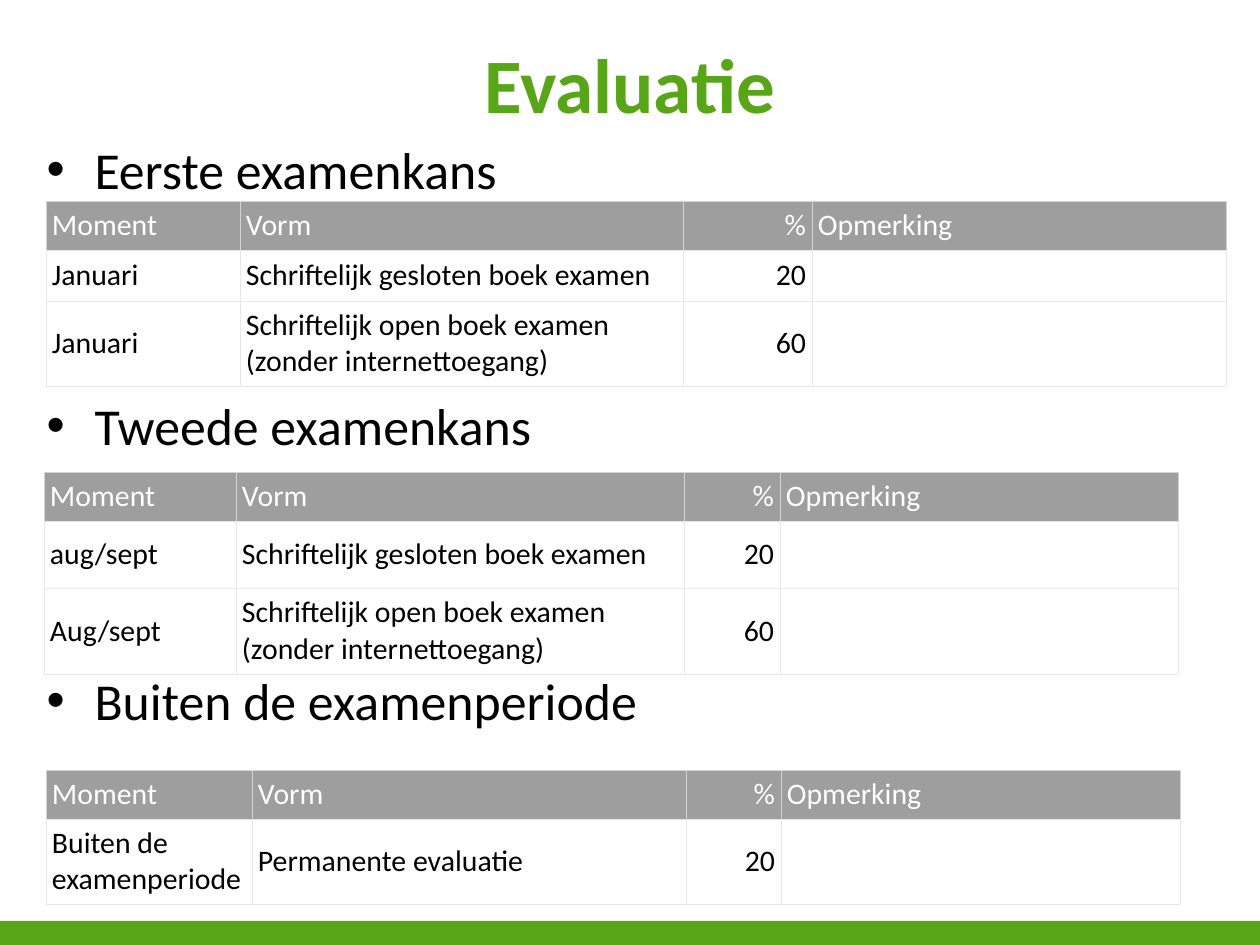
from lxml import etree
from pptx import Presentation
from pptx.dml.color import RGBColor
from pptx.enum.shapes import MSO_SHAPE
from pptx.enum.text import MSO_ANCHOR, MSO_AUTO_SIZE, PP_ALIGN
from pptx.oxml.ns import qn
from pptx.util import Pt

RECT = MSO_SHAPE.RECTANGLE
MIDDLE, TOP = MSO_ANCHOR.MIDDLE, MSO_ANCHOR.TOP
LEFT, CENTER, RIGHT = PP_ALIGN.LEFT, PP_ALIGN.CENTER, PP_ALIGN.RIGHT
FIXED = MSO_AUTO_SIZE.NONE

GREEN, GREY, WHITE, BLACK = "58A618", "9E9E9E", "FFFFFF", "000000"
HEAD_EDGE, EDGE = "D3D3D3", "E7E7E7"
FONT = "Calibri"
SCALE = 914400 / 126

TITLE = "Evaluatie"
# heading and the space before it in points, which leaves room for a table
HEADINGS = [
    ("Eerste examenkans", 0),
    ("Tweede examenkans", 111),
    ("Buiten de examenperiode", 121.5),
]
HEADER = ["Moment", "Vorm", "%", "Opmerking"]
CLOSED = "Schriftelijk gesloten boek examen"
OPEN = "Schriftelijk open boek examen (zonder internettoegang)"
TABLES = [
    {"at": (46, 201), "cols": [194, 443, 129, 414], "heights": [49, 51, 85],
     "rows": [["Januari", CLOSED, "20", ""], ["Januari", OPEN, "60", ""]]},
    {"at": (44, 472), "cols": [192, 448, 96, 398], "heights": [49, 67, 86],
     "rows": [["aug/sept", CLOSED, "20", ""], ["Aug/sept", OPEN, "60", ""]]},
    {"at": (46, 770), "cols": [206, 434, 95, 399], "heights": [49, 85],
     "rows": [["Buiten de examenperiode", "Permanente evaluatie", "20", ""]]},
]


def px(n):
    return round(n * SCALE)


def rgb(code):
    return RGBColor.from_string(code)


def style(par, size, color, bold=False):
    for run in par.runs:
        font = run.font
        font.name, font.size, font.bold = FONT, Pt(size), bold
        font.color.rgb = rgb(color)


def place(shape, left, top, width, height):
    shape.left, shape.top = px(left), px(top)
    shape.width, shape.height = px(width), px(height)


def add_bullet(par):
    props = par._p.get_or_add_pPr()
    props.set("marL", str(px(48)))
    props.set("indent", str(-px(48)))
    color = etree.SubElement(props, qn("a:buClr"))
    etree.SubElement(color, qn("a:srgbClr"), val=BLACK)
    etree.SubElement(props, qn("a:buFont"), typeface="Arial")
    etree.SubElement(props, qn("a:buChar"), char="•")


def add_edges(cell, head):
    props = cell._tc.get_or_add_tcPr()
    for side in "LRTB":
        color = HEAD_EDGE if head and side != "B" else EDGE
        line = etree.SubElement(props, qn("a:ln" + side), w=str(Pt(0.45)))
        fill = etree.SubElement(line, qn("a:solidFill"))
        etree.SubElement(fill, qn("a:srgbClr"), val=color)


def fill_cell(cell, text, head, align):
    add_edges(cell, head)
    cell.fill.solid()
    cell.fill.fore_color.rgb = rgb(GREY if head else WHITE)
    cell.vertical_anchor = MIDDLE
    cell.margin_left = cell.margin_right = px(6)
    cell.margin_top = cell.margin_bottom = px(6)
    if text:
        par = cell.text_frame.paragraphs[0]
        par.text = text
        par.alignment = align
        style(par, 17, WHITE if head else BLACK)


def add_grid(slide, at, cols, heights, rows):
    lines = [HEADER] + rows
    frame = slide.shapes.add_table(
        len(lines), len(cols), px(at[0]), px(at[1]),
        px(sum(cols)), px(sum(heights)))
    table = frame.table
    table.horz_banding = False
    for col, width in zip(table.columns, cols):
        col.width = px(width)
    for row, height in zip(table.rows, heights):
        row.height = px(height)
    for r, line in enumerate(lines):
        for c, text in enumerate(line):
            align = RIGHT if HEADER[c] == "%" else LEFT
            fill_cell(table.cell(r, c), text, r == 0, align)


def add_title(slide):
    title = slide.shapes.title
    place(title, 63, 4, 1134, 158)
    frame = title.text_frame
    frame.text = TITLE
    frame.vertical_anchor = MIDDLE
    frame.paragraphs[0].alignment = CENTER
    style(frame.paragraphs[0], 44, GREEN, True)


def add_list(slide):
    body = slide.placeholders[1]
    place(body, 34, 131, 1134, 624)
    frame = body.text_frame
    frame.auto_size, frame.vertical_anchor = FIXED, TOP
    frame.text = "\n".join(text for text, gap in HEADINGS)
    for par, (text, gap) in zip(frame.paragraphs, HEADINGS):
        par.space_before = Pt(gap)
        add_bullet(par)
        style(par, 29.6, BLACK)


def main():
    deck = Presentation()
    deck.slide_width, deck.slide_height = px(1260), px(945)
    slide = deck.slides.add_slide(deck.slide_layouts[1])
    add_title(slide)
    add_list(slide)
    for spec in TABLES:
        add_grid(slide, **spec)
    bar = slide.shapes.add_shape(RECT, 0, px(921), px(1260), px(24))
    bar.shadow.inherit = False
    bar.fill.solid()
    bar.fill.fore_color.rgb = rgb(GREEN)
    bar.line.fill.background()
    deck.save("out.pptx")


if __name__ == "__main__":
    main()
